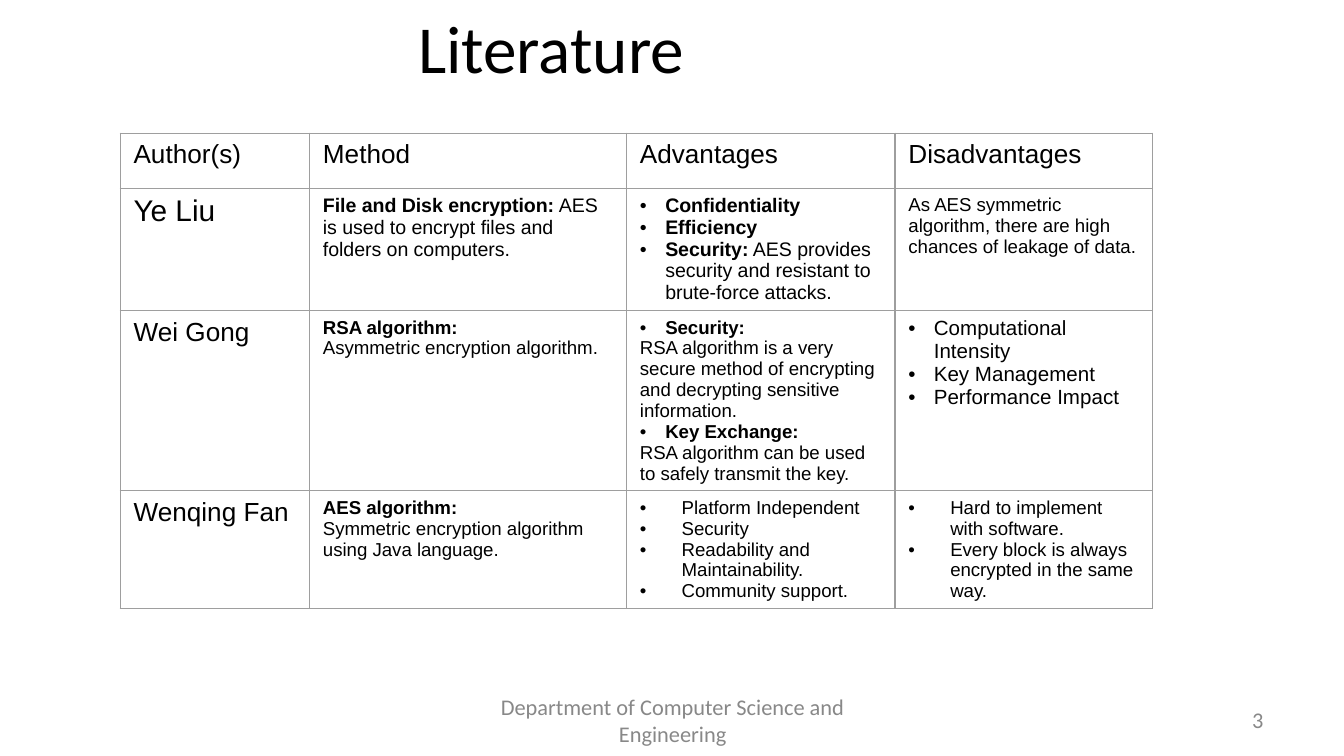
from dataclasses import dataclass

import lxml.etree
import pptx
import pptx.dml.color
import pptx.enum.text
import pptx.oxml.ns
import pptx.util

Cm = pptx.util.Cm
Pt = pptx.util.Pt
PP_ALIGN = pptx.enum.text.PP_ALIGN
MIDDLE = pptx.enum.text.MSO_ANCHOR.MIDDLE
qn = pptx.oxml.ns.qn


@dataclass(frozen=True)
class Theme:
    heading_font: str = "Calibri"
    table_font: str = "Arial"
    ink: str = "000000"
    muted: str = "888888"
    grid: str = "9E9E9E"
    grid_width: float = 0.75
    title: float = 36
    header: float = 14
    lead_author: float = 16
    large: float = 11
    medium: float = 10.5
    small: float = 10
    footer: float = 12


@dataclass(frozen=True)
class Box:
    left: float
    top: float
    width: float
    height: float

    def placement(self):
        names = ("left", "top", "width", "height")
        return {name: Cm(getattr(self, name)) for name in names}


@dataclass(frozen=True)
class Entry:
    size: float
    paragraphs: tuple
    hang: float = 0


THEME = Theme()
NARROW, WIDE = 0.48, 0.79
COLUMN_SHARES = (1.41, 2.36, 2.0, 1.92)
ROW_SHARES = (0.41, 0.91, 1.34, 0.88)

# Each paragraph is (bulleted, bold lead, plain text).
HEADERS = ("Author(s)", "Method", "Advantages", "Disadvantages")
STUDIES = (
    (
        Entry(THEME.lead_author, ((False, "", "Ye Liu"),)),
        Entry(THEME.medium, (
            (False, "File and Disk encryption:",
             " AES is used to encrypt files and folders on computers."),)),
        Entry(THEME.medium, (
            (True, "Confidentiality", ""),
            (True, "Efficiency", ""),
            (True, "Security:",
             " AES provides security and resistant to brute-force attacks.")), NARROW),
        Entry(THEME.small, (
            (False, "",
             "As AES symmetric algorithm, there are high chances of leakage of data."),)),
    ),
    (
        Entry(THEME.header, ((False, "", "Wei Gong"),)),
        Entry(THEME.small, (
            (False, "RSA algorithm:", ""),
            (False, "", "Asymmetric encryption algorithm."))),
        Entry(THEME.small, (
            (True, "Security:", ""),
            (False, "", "RSA algorithm is a very secure method of encrypting "
                        "and decrypting sensitive information."),
            (True, "Key Exchange:", ""),
            (False, "", "RSA algorithm can be used to safely transmit the key.")), NARROW),
        Entry(THEME.large, (
            (True, "", "Computational Intensity"),
            (True, "", "Key Management"),
            (True, "", "Performance Impact")), NARROW),
    ),
    (
        Entry(THEME.header, ((False, "", "Wenqing Fan"),)),
        Entry(THEME.small, (
            (False, "AES algorithm:", ""),
            (False, "", "Symmetric encryption algorithm using Java language."))),
        Entry(THEME.small, (
            (True, "", "Platform Independent"),
            (True, "", "Security"),
            (True, "", "Readability and Maintainability."),
            (True, "", "Community support.")), WIDE),
        Entry(THEME.small, (
            (True, "", "Hard to implement with software."),
            (True, "", "Every block is always encrypted in the same way.")), WIDE),
    ),
)


def apply(target, values):
    for name, value in values.items():
        setattr(target, name, value)


def add_run(paragraph, text, color, **font):
    run = paragraph.add_run()
    run.text = text
    apply(run.font, font)
    run.font.color.rgb = pptx.dml.color.RGBColor.from_string(color)


def add_bullet(paragraph, hang):
    properties = paragraph._p.get_or_add_pPr()
    properties.set("marL", str(Cm(hang)))
    properties.set("indent", str(-Cm(hang)))
    color = lxml.etree.SubElement(properties, qn("a:buClr"))
    lxml.etree.SubElement(color, qn("a:srgbClr"), val=THEME.ink)
    lxml.etree.SubElement(properties, qn("a:buFont"), typeface=THEME.table_font)
    lxml.etree.SubElement(properties, qn("a:buChar"), char="•")


def add_borders(cell):
    properties = cell._tc.get_or_add_tcPr()
    for position, side in enumerate(("a:lnL", "a:lnR", "a:lnT", "a:lnB")):
        border = lxml.etree.Element(qn(side), w=str(Pt(THEME.grid_width)))
        fill = lxml.etree.SubElement(border, qn("a:solidFill"))
        lxml.etree.SubElement(fill, qn("a:srgbClr"), val=THEME.grid)
        properties.insert(position, border)


def fill_cell(cell, entry):
    cell.fill.background()
    add_borders(cell)
    for position, (bulleted, lead, plain) in enumerate(entry.paragraphs):
        frame = cell.text_frame
        paragraph = frame.add_paragraph() if position else frame.paragraphs[0]
        if bulleted:
            add_bullet(paragraph, entry.hang)
        for text, bold in ((lead, True), (plain, False)):
            if text:
                add_run(paragraph, text, THEME.ink, name=THEME.table_font,
                        size=Pt(entry.size), bold=bold)


def place_title(slide, box):
    title = slide.shapes.title
    apply(title, box.placement())
    apply(title.text_frame, {"margin_left": Cm(1.65), "vertical_anchor": MIDDLE,
                             "word_wrap": True})
    paragraph = title.text_frame.paragraphs[0]
    paragraph.alignment = PP_ALIGN.CENTER
    add_run(paragraph, "Literature", THEME.ink,
            name=THEME.heading_font, size=Pt(THEME.title))


def place_literature(slide, box):
    headings = tuple(Entry(THEME.header, ((False, "", text),)) for text in HEADERS)
    entries = (headings,) + STUDIES
    table = slide.shapes.add_table(
        len(entries), len(HEADERS), **box.placement()).table
    apply(table, {"first_row": False, "horz_banding": False})
    for column, share in zip(table.columns, COLUMN_SHARES):
        column.width = Cm(box.width * share / sum(COLUMN_SHARES))
    for row, share, row_entries in zip(table.rows, ROW_SHARES, entries):
        row.height = Cm(box.height * share / sum(ROW_SHARES))
        for cell, entry in zip(row.cells, row_entries):
            fill_cell(cell, entry)


def place_footer_text(slide, box, text, alignment):
    footer = slide.shapes.add_textbox(**box.placement())
    apply(footer.text_frame, {"word_wrap": True, "vertical_anchor": MIDDLE})
    paragraph = footer.text_frame.paragraphs[0]
    paragraph.alignment = alignment
    add_run(paragraph, text, THEME.muted,
            name=THEME.heading_font, size=Pt(THEME.footer))


def main():
    deck = pptx.Presentation()
    apply(deck, {"slide_width": Cm(25.4), "slide_height": Cm(14.29)})
    slide = deck.slides.add_slide(deck.slide_layouts.get_by_name("Title Only"))
    place_title(slide, Box(1.22, 0, 17, 1.75))
    place_literature(slide, Box(2.27, 2.52, 19.52, 8.98))
    place_footer_text(slide, Box(8.69, 13.23, 8.05, 0.76),
                      "Department of Computer Science and Engineering", PP_ALIGN.CENTER)
    place_footer_text(slide, Box(18.21, 13.23, 5.92, 0.76), "3", PP_ALIGN.RIGHT)
    deck.save("out.pptx")


if __name__ == "__main__":
    main()
